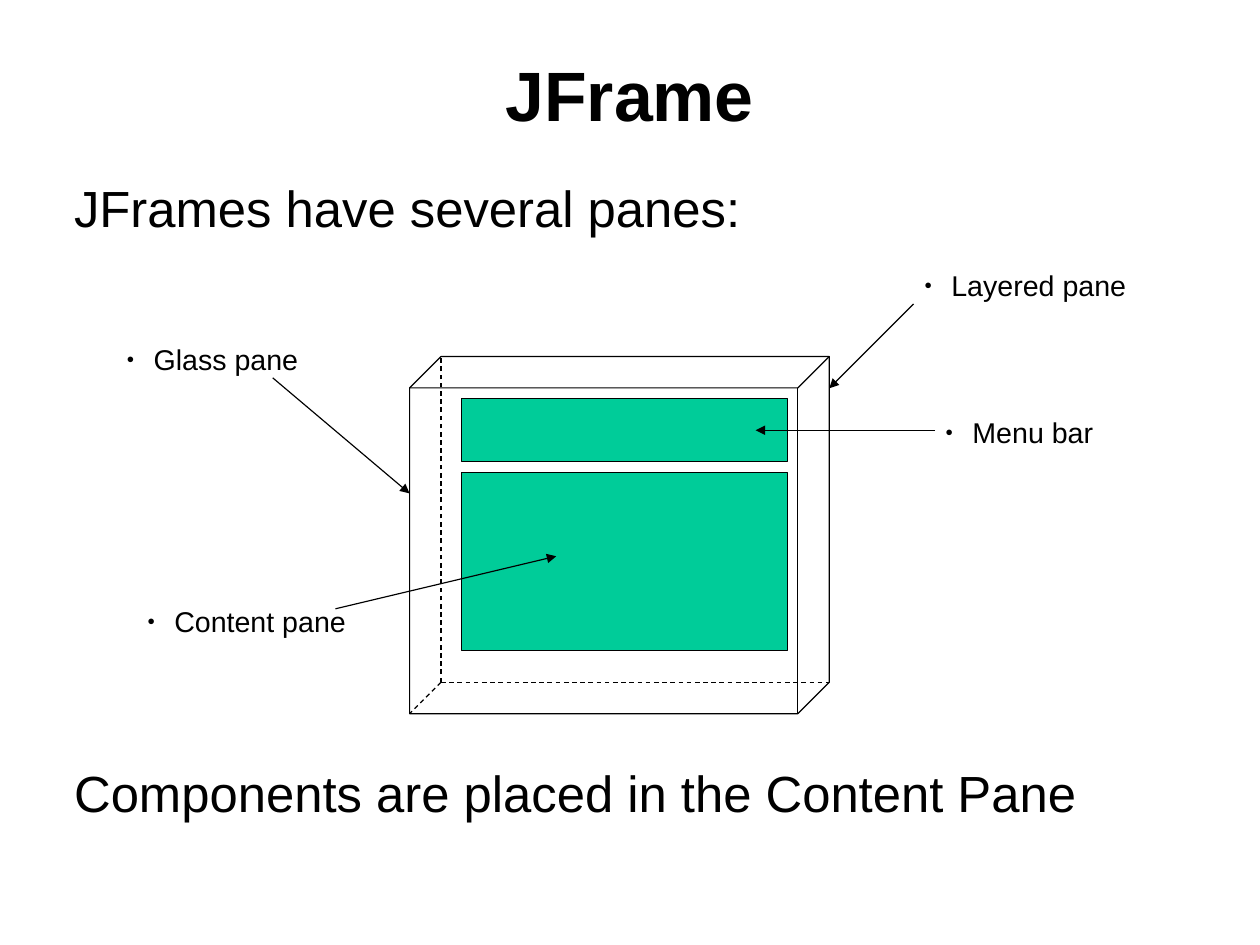
from lxml import etree
from pptx import Presentation
from pptx.dml.color import RGBColor
from pptx.enum.dml import MSO_LINE
from pptx.enum.shapes import MSO_CONNECTOR, MSO_SHAPE
from pptx.enum.text import MSO_ANCHOR, PP_ALIGN
from pptx.oxml.ns import qn
from pptx.util import Pt

STRAIGHT = MSO_CONNECTOR.STRAIGHT
DASH = MSO_LINE.DASH
CUBE, RECTANGLE = MSO_SHAPE.CUBE, MSO_SHAPE.RECTANGLE
TOP, MIDDLE = MSO_ANCHOR.TOP, MSO_ANCHOR.MIDDLE
LEFT, CENTER = PP_ALIGN.LEFT, PP_ALIGN.CENTER

BLACK, GREEN = "000000", "00CC99"
LINE_WIDTH = Pt(0.75)
BULLET_INDENT = Pt(17)


def color(hex_code):
    return RGBColor.from_string(hex_code)


def add_text(text, left, top, width, height, size=32, bold=False,
             align=LEFT, anchor=TOP, bullet=False):
    box = slide.shapes.add_textbox(Pt(left), Pt(top), Pt(width), Pt(height))
    frame = box.text_frame
    frame.word_wrap = True
    frame.vertical_anchor = anchor
    para = frame.paragraphs[0]
    para.alignment = align
    span = para.add_run()
    span.text = text
    span.font.name = "Arial"
    span.font.size = Pt(size)
    span.font.bold = bold
    span.font.color.rgb = color(BLACK)
    if bullet:
        properties = para._p.get_or_add_pPr()
        properties.set("marL", str(BULLET_INDENT))
        properties.set("indent", str(-BULLET_INDENT))
        etree.SubElement(properties, qn("a:buSzPct"), val="45000")
        etree.SubElement(properties, qn("a:buFont"), typeface="Arial")
        etree.SubElement(properties, qn("a:buChar"), char="●")


deck = Presentation()
deck.slide_width, deck.slide_height = Pt(793.7), Pt(595.28)
slide = deck.slides.add_slide(deck.slide_layouts[6])

add_text("JFrame", 39.6, 23.76, 714.24, 69.84, size=44, bold=True,
         align=CENTER, anchor=MIDDLE)
add_text("JFrames have several panes:", 39.6, 108, 698.4, 46)
add_text("Components are placed in the Content Pane", 39.6, 476, 698.4, 46)

# The frame is a see-through cube that holds the two inner panes
cube_left, cube_top, cube_right, cube_bottom, depth = 258, 224.6, 522.4, 449.6, 19.8
cube_width, cube_height = cube_right - cube_left, cube_bottom - cube_top
blocks = [
    (CUBE, cube_left, cube_top, cube_width, cube_height, None),
    (RECTANGLE, 290.8, 251, 205.2, 39.6, GREEN),
    (RECTANGLE, 290.8, 297.5, 205.2, 112.3, GREEN),
]
for kind, left, top, width, height, fill in blocks:
    block = slide.shapes.add_shape(kind, Pt(left), Pt(top), Pt(width), Pt(height))
    block.shadow.inherit = False
    block.line.color.rgb = color(BLACK)
    block.line.width = LINE_WIDTH
    if fill:
        block.fill.solid()
        block.fill.fore_color.rgb = color(fill)
    else:
        block.fill.background()
        block.adjustments[0] = depth / min(width, height)

# Hidden cube edges meet in the far lower corner; arrows run from label to pane
corner = (cube_left + depth, cube_bottom - depth)
hidden_edges = [
    (corner, (corner[0], cube_top)),
    (corner, (cube_right, corner[1])),
    (corner, (cube_left, cube_bottom)),
]
labels = [
    ("Glass pane", 72.7, 211.6, 125, (171.8, 238), (258, 310.8)),
    ("Layered pane", 575.2, 165.2, 144, (575.5, 191.5), (522.4, 244.6)),
    ("Menu bar", 588.5, 257.7, 110, (589, 271), (476, 271)),
    ("Content pane", 85.7, 376.9, 142, (211.3, 383.5), (350.4, 350.4)),
]
for text, left, top, width, start, end in labels:
    add_text(text, left, top, width, 28.8, size=18, bullet=True)

arrows = [label[4:] for label in labels]
for start, end in hidden_edges + arrows:
    line = slide.shapes.add_connector(
        STRAIGHT, *(Pt(value) for value in start + end))
    line.line.color.rgb = color(BLACK)
    line.line.width = LINE_WIDTH
    if (start, end) in arrows:
        etree.SubElement(line.line._get_or_add_ln(), qn("a:tailEnd"), type="triangle")
    else:
        line.line.dash_style = DASH
    etree.SubElement(line._element.spPr, qn("a:effectLst"))

deck.save("out.pptx")
